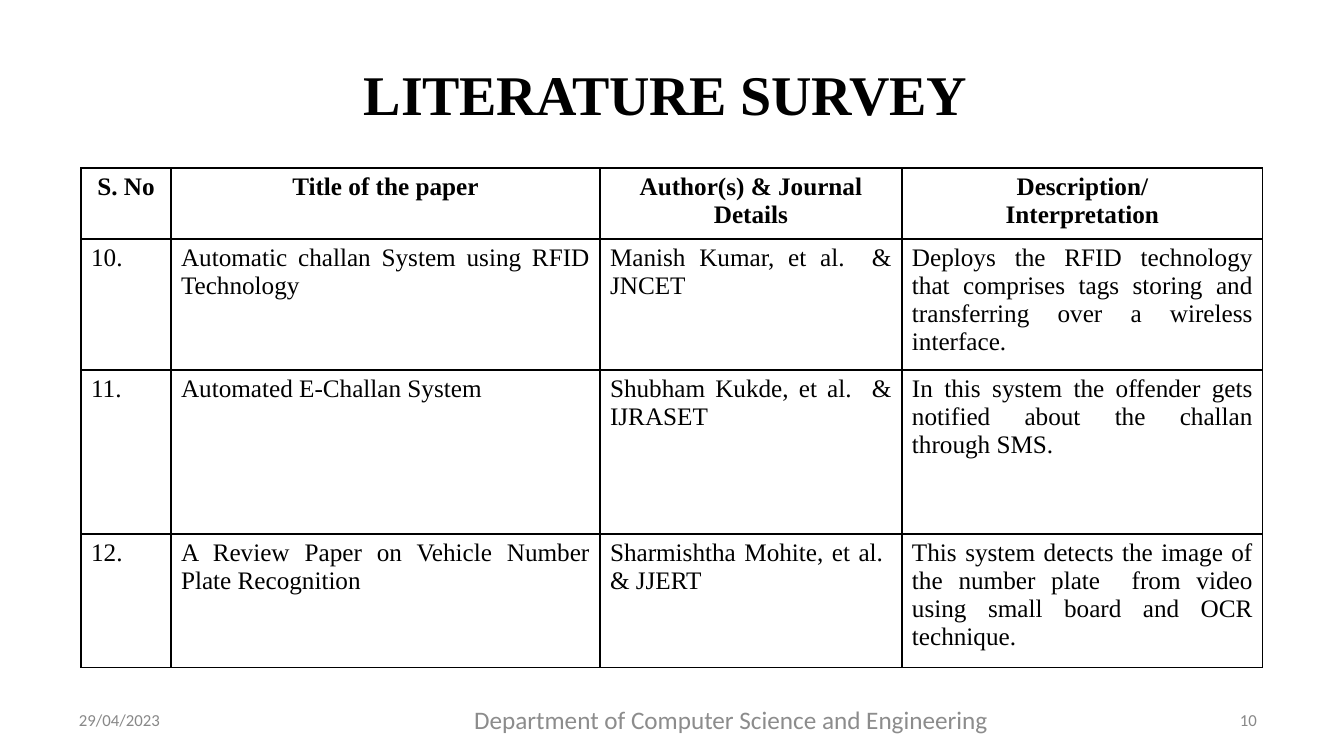
from pptx import Presentation, util as u
from pptx.dml.color import RGBColor
from pptx.enum import text
from pptx.oxml import parse_xml
from pptx.oxml.ns import nsdecls

BLACK = RGBColor(0x00, 0x00, 0x00)
GREY = RGBColor(0x88, 0x88, 0x88)
FOOTER_GREY = RGBColor(0x8C, 0x8C, 0x8C)
SERIF, SANS = "Times New Roman", "Calibri"
AL = text.PP_ALIGN
PX = 914400 / 100.8


def px(n):
    return u.Emu(round(n * PX))


def add_run(p, words, font, size, color, bold=False):
    r = p.add_run()
    r.text = words
    r.font.name, r.font.size, r.font.bold = font, u.Pt(size), bold
    r.font.color.rgb = color
    return r


prs = Presentation()
prs.slide_width, prs.slide_height = px(1344), px(756)
s = prs.slides.add_slide(prs.slide_layouts[5])

# Title
title = s.shapes.title
title.left, title.top, title.width, title.height = px(364), px(59), px(613), px(70)
tf = title.text_frame
tf.margin_left = tf.margin_right = tf.margin_bottom = 0
tf.margin_top = px(1)
tf.vertical_anchor = text.MSO_ANCHOR.TOP
tf.word_wrap = True
tf.auto_size = text.MSO_AUTO_SIZE.NONE
p = tf.paragraphs[0]
p.alignment = AL.LEFT
p.space_before = u.Pt(1)
r = add_run(p, "LITERATURE SURVEY", SERIF, 40, BLACK, True)
r.font._element.set("spc", "-20")

# Survey table: each cell is a list of paragraphs
col_widths = [90, 429, 302, 361]
row_heights = [71, 131, 164, 134]
rows = [
    [["S. No"], ["Title of the paper"], ["Author(s) & Journal Details"],
     ["Description/", "Interpretation"]],
    [["10. "], ["Automatic challan System using RFID Technology"],
     ["Manish Kumar, et al.  & JNCET"],
     ["Deploys the RFID technology that comprises tags storing and "
      "transferring over a wireless interface."]],
    [["11."], ["Automated E-Challan System"],
     ["Shubham Kukde, et al.  & IJRASET"],
     ["In this system the offender gets notified about the challan through SMS."]],
    [["12."], ["A Review Paper on Vehicle Number Plate Recognition"],
     ["Sharmishtha Mohite, et al.  & JJERT"],
     ["This system detects the image of the number plate  from video using "
      "small board and OCR technique."]],
]
table = s.shapes.add_table(len(rows), len(col_widths), px(81), px(168),
                           px(sum(col_widths)), px(sum(row_heights))).table
table.first_row = table.horz_banding = False
for col, w in zip(table.columns, col_widths):
    col.width = px(w)
for i, (row, h) in enumerate(zip(rows, row_heights)):
    table.rows[i].height = px(h)
    for j, lines in enumerate(row):
        cell = table.cell(i, j)
        tf = cell.text_frame
        for k, line in enumerate(lines):
            p = tf.add_paragraph() if k else tf.paragraphs[0]
            p.alignment = AL.JUSTIFY if i else AL.CENTER
            add_run(p, line, SERIF, 18, BLACK, bold=i == 0)
        # Borders come before the fill in the cell properties
        for side in ("lnL", "lnR", "lnT", "lnB"):
            cell._tc.get_or_add_tcPr().append(parse_xml(
                f'<a:{side} {nsdecls("a")} w="12700"><a:solidFill>'
                f'<a:srgbClr val="{BLACK}"/></a:solidFill></a:{side}>'))
        cell.fill.background()

# Footer: date, department, slide number
footer = [
    ("29/04/2023", 79, 713, 112, 12, GREY, AL.LEFT, u.Pt(12.4)),
    ("Department of Computer Science and Engineering", 436, 704, 590, 18,
     FOOTER_GREY, AL.CENTER, None),
    ("10", 1240, 713, 34, 12, GREY, AL.LEFT, u.Pt(12.4)),
]
for words, x, y, w, size, color, align, spacing in footer:
    tf = s.shapes.add_textbox(px(x), px(y), px(w), px(size * 1.5)).text_frame
    tf.margin_left = tf.margin_right = tf.margin_top = tf.margin_bottom = 0
    tf.word_wrap = True
    p = tf.paragraphs[0]
    p.alignment, p.line_spacing = align, spacing
    add_run(p, words, SANS, size, color)

prs.save("out.pptx")
